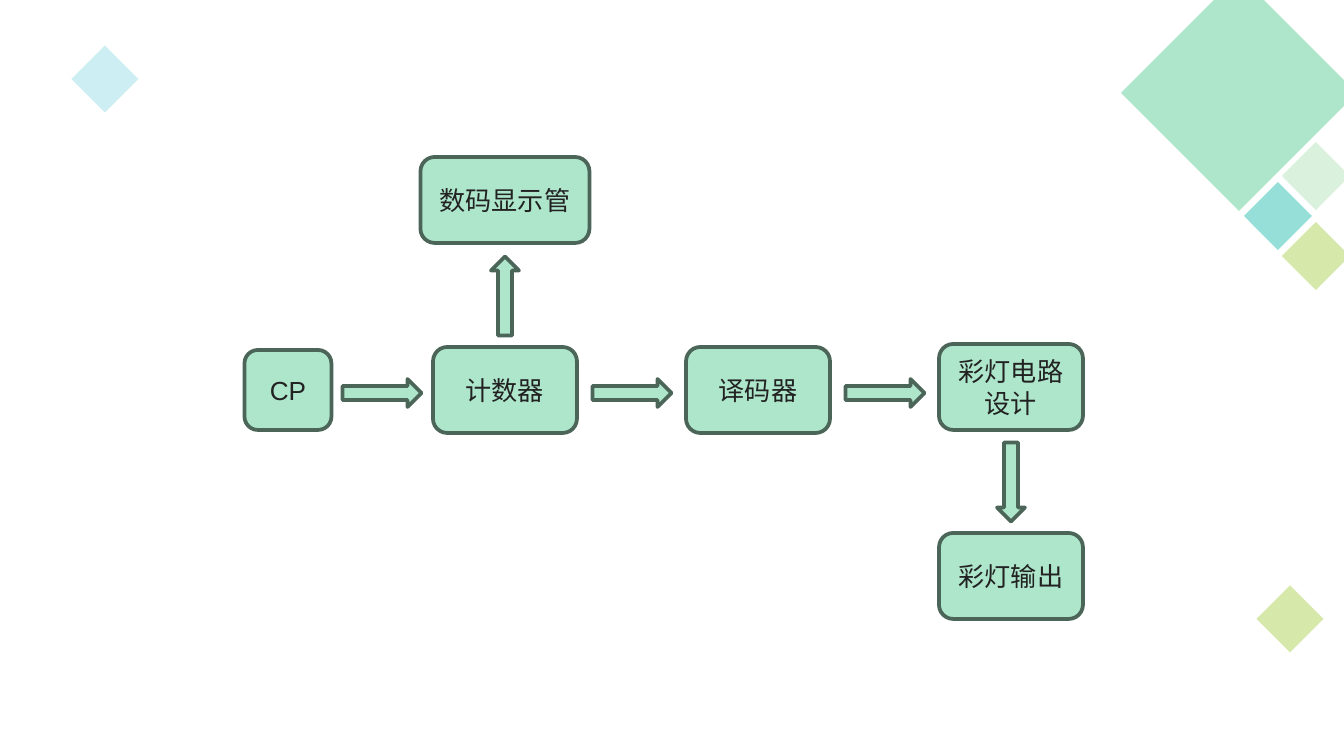
from typing import NamedTuple

from pptx import Presentation
from pptx.dml.color import RGBColor
from pptx.enum.shapes import MSO_SHAPE
from pptx.enum.text import MSO_ANCHOR, PP_ALIGN
from pptx.util import Emu, Pt

SLIDE_W, SLIDE_H = 1344, 756
EMU_PER_PX = 9144000 / SLIDE_W

COLORS = {
    "mint": "AEE6CB",
    "outline": "4C6559",
    "text": "222222",
    "sky": "CDEEF3",
    "lime": "D6E8AA",
    "pale": "DAF1DD",
    "teal": "96DFD8",
}


class Diamond(NamedTuple):
    cx: int
    cy: int
    size: int
    color: str


class Stage(NamedTuple):
    label: str
    cx: int
    cy: int
    width: int = 144
    height: int = 86


class Arrow(NamedTuple):
    cx: int
    cy: int
    rotation: int = 0


ARROW_LENGTH, ARROW_THICKNESS = 79, 28
ROW_Y = 390
COUNTER_X, DECODER_X, LIGHTS_X = 505, 758, 1011

DIAMONDS = [
    Diamond(105, 79, 67, "sky"),
    Diamond(1290, 619, 67, "lime"),
    Diamond(1239, 93, 236, "mint"),
    Diamond(1316, 176, 68, "pale"),
    Diamond(1316, 256, 68, "lime"),
    Diamond(1278, 216, 68, "teal"),
]
STAGES = [
    Stage("CP", 288, ROW_Y, 87, 80),
    Stage("计数器", COUNTER_X, ROW_Y),
    Stage("数码显示管", COUNTER_X, 200, width=169),
    Stage("译码器", DECODER_X, ROW_Y),
    Stage("彩灯电路设计", LIGHTS_X, 387),
    Stage("彩灯输出", LIGHTS_X, 576),
]
ARROWS = [
    Arrow(382, 393),
    Arrow(632, 393),
    Arrow(885, 393),
    Arrow(COUNTER_X, 296, rotation=270),
    Arrow(LIGHTS_X, 482, rotation=90),
]


def px(value: float) -> Emu:
    return Emu(round(value * EMU_PER_PX))


def rgb(name: str) -> RGBColor:
    return RGBColor.from_string(COLORS[name])


def add_centered(slide, preset: MSO_SHAPE, cx: int, cy: int,
                 width: int, height: int, fill: str):
    """Add a flat, filled preset shape around a centre point."""
    shape = slide.shapes.add_shape(
        preset, px(cx - width / 2), px(cy - height / 2), px(width), px(height))
    shape.shadow.inherit = False
    shape.fill.solid()
    shape.fill.fore_color.rgb = rgb(fill)
    return shape


def outline(shape) -> None:
    shape.line.color.rgb = rgb("outline")
    shape.line.width = Pt(2)


def draw_diamond(slide, diamond: Diamond) -> None:
    shape = add_centered(slide, MSO_SHAPE.DIAMOND, diamond.cx, diamond.cy,
                         diamond.size, diamond.size, diamond.color)
    shape.line.fill.background()


def draw_stage(slide, stage: Stage) -> None:
    box = add_centered(slide, MSO_SHAPE.ROUNDED_RECTANGLE, stage.cx, stage.cy,
                       stage.width, stage.height, "mint")
    outline(box)
    frame = box.text_frame
    frame.word_wrap = True
    frame.vertical_anchor = MSO_ANCHOR.MIDDLE
    paragraph = frame.paragraphs[0]
    paragraph.text = stage.label
    paragraph.alignment = PP_ALIGN.CENTER
    paragraph.font.name = "Arial"
    paragraph.font.size = Pt(14)
    paragraph.font.color.rgb = rgb("text")


def draw_arrow(slide, arrow: Arrow) -> None:
    shape = add_centered(slide, MSO_SHAPE.RIGHT_ARROW, arrow.cx, arrow.cy,
                         ARROW_LENGTH, ARROW_THICKNESS, "mint")
    shape.rotation = arrow.rotation
    outline(shape)


def main() -> None:
    deck = Presentation()
    deck.slide_width, deck.slide_height = px(SLIDE_W), px(SLIDE_H)
    slide = deck.slides.add_slide(deck.slide_layouts.get_by_name("Blank"))
    for diamond in DIAMONDS:
        draw_diamond(slide, diamond)
    for stage in STAGES:
        draw_stage(slide, stage)
    for arrow in ARROWS:
        draw_arrow(slide, arrow)
    deck.save("out.pptx")


if __name__ == "__main__":
    main()
